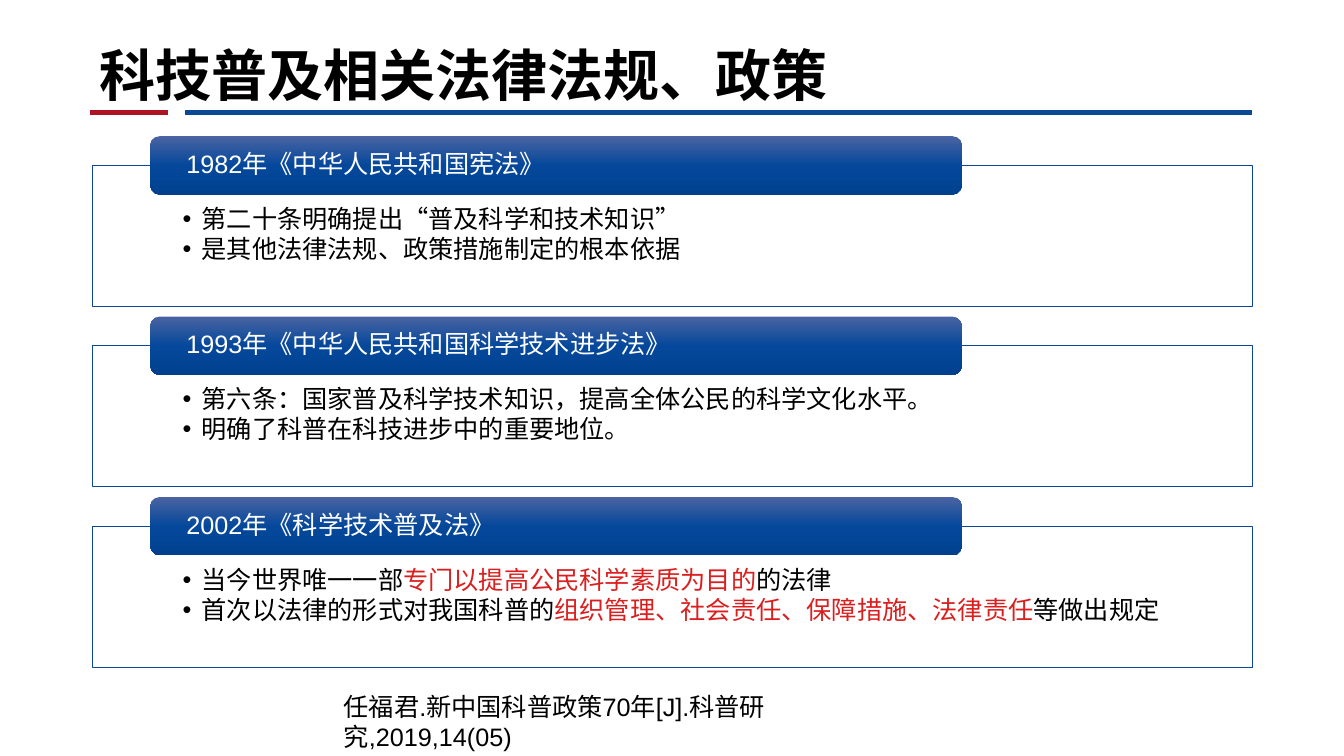
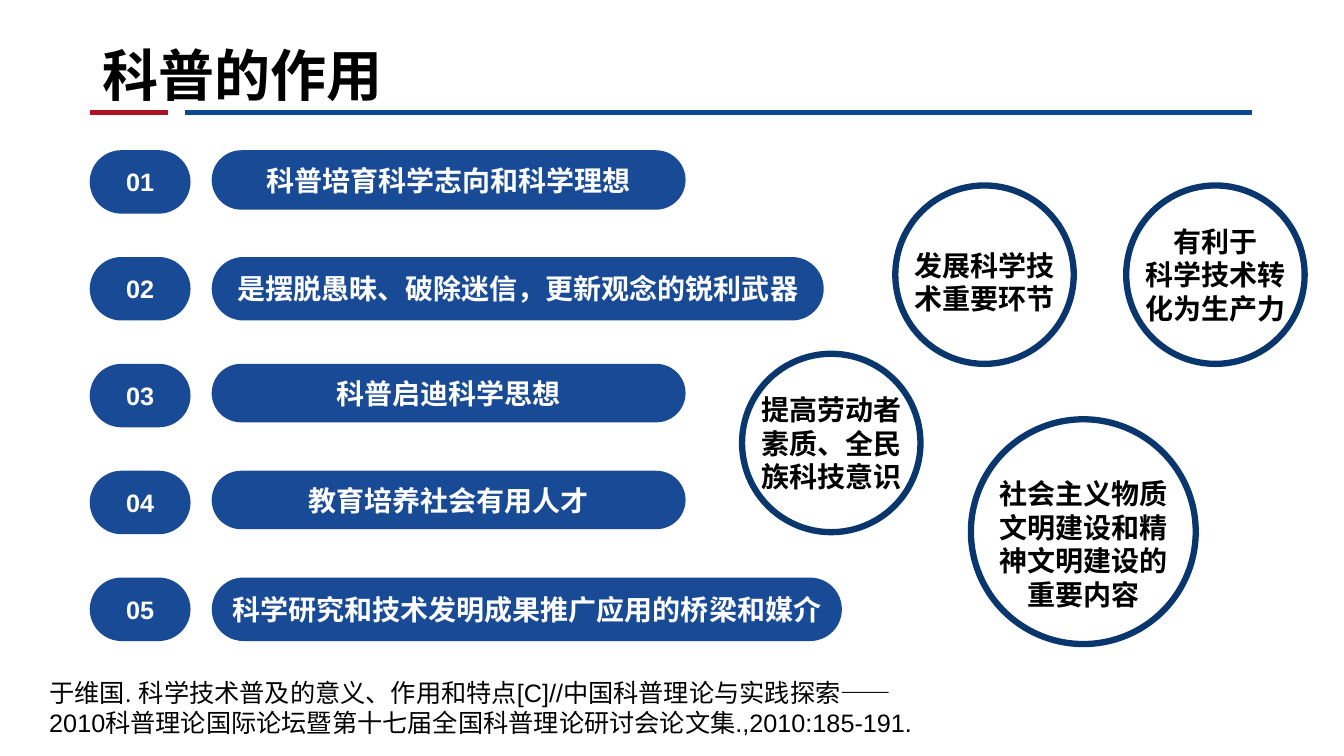
"""Build two slides on science popularisation."""
from dataclasses import dataclass

from lxml import etree
from pptx import Presentation
from pptx import util as u
from pptx.dml.color import RGBColor
from pptx.enum import shapes, text
from pptx.oxml.ns import qn


@dataclass(frozen=True)
class Theme:
    """Colours, fonts and type sizes of the deck."""
    black: str = "000000"
    white: str = "FFFFFF"
    crimson: str = "AE1324"
    blue: str = "0C4994"
    pill: str = "194A96"
    ring: str = "09366D"
    red: str = "DB1F1F"
    grad: tuple = ((0, "4B64A2"), (50, "05489B"), (100, "00408E"))
    head: str = "Roboto Condensed"
    body: str = "Arial"
    title: int = 40
    label: int = 20
    text: int = 18


T = Theme()
LEFT, RIGHT, RULE = 0.89, 12.42, 1.12

LAWS = [
    ("1982年《中华人民共和国宪法》",
     [["第二十条明确提出“普及科学和技术知识”"],
      ["是其他法律法规、政策措施制定的根本依据"]]),
    ("1993年《中华人民共和国科学技术进步法》",
     [["第六条：国家普及科学技术知识，提高全体公民的科学文化水平。"],
      ["明确了科普在科技进步中的重要地位。"]]),
    ("2002年《科学技术普及法》",
     [["当今世界唯一一部", "专门以提高公民科学素质为目的", "的法律"],
      ["首次以法律的形式对我国科普的",
       "组织管理、社会责任、保障措施、法律责任", "等做出规定"]]),
]
ROLES = [
    ("科普培育科学志向和科学理想", 4.7, 0.59),
    ("是摆脱愚昧、破除迷信，更新观念的锐利武器", 6.07, 0.63),
    ("科普启迪科学思想", 4.7, 0.58),
    ("教育培养社会有用人才", 4.7, 0.58),
    ("科学研究和技术发明成果推广应用的桥梁和媒介", 6.25, 0.63),
]
RINGS = [
    ("有利于\n科学技术转化为生产力", 11.17, 1.84, 1.77, 0),
    ("提高劳动者素质、全民族科技意识", 7.36, 3.51, 1.77, 0),
    ("社会主义物质文明建设和精神文明建设的重要内容", 9.63, 4.16, 2.23, 0.12),
    ("发展科学技术重要环节", 8.88, 1.84, 1.77, 0.07),
]
CITE_LAW = "任福君.新中国科普政策70年[J].科普研究,2019,14(05)"
CITE_ROLE = ("于维国. 科学技术普及的意义、作用和特点[C]//中国科普理论与实践探索——"
             "2010科普理论国际论坛暨第十七届全国科普理论研讨会论文集.,2010:185-191.")


def rgb(code):
    """Turn a hex code into a colour."""
    return RGBColor.from_string(code)


def box(*nums):
    """Turn numbers into inches."""
    return [u.Inches(n) for n in nums]


def move(shape, *nums):
    """Place a shape at left, top, width and height."""
    shape.left, shape.top, shape.width, shape.height = box(*nums)


def style(run, size, color=T.black, bold=False, face=T.body):
    """Set the font of one run."""
    run.font.name, run.font.size, run.font.bold = face, u.Pt(size), bold
    run.font.color.rgb = rgb(color)


def write(shape, words, size, align=text.PP_ALIGN.LEFT,
          anchor=text.MSO_ANCHOR.TOP, **look):
    """Fill a shape with words in one style."""
    frame = shape.text_frame
    frame.text = words
    frame.word_wrap, frame.vertical_anchor = True, anchor
    frame.auto_size = text.MSO_AUTO_SIZE.NONE
    for para in frame.paragraphs:
        para.alignment = align
        for run in para.runs:
            style(run, size, **look)


def label(slide, words, *nums, **look):
    """Add a wrapped text box."""
    write(slide.shapes.add_textbox(*box(*nums)), words, **look)


def block(slide, kind, *nums):
    """Add a preset shape with no shadow and no line."""
    shape = slide.shapes.add_shape(kind, *box(*nums))
    shape.shadow.inherit = False
    shape.line.fill.background()
    return shape


def rules(slide, master):
    """Draw the two title rules and hand them to the master."""
    spans = [(LEFT, 1.67, T.crimson), (1.84, RIGHT, T.blue)]
    for key, (start, end, color) in enumerate(spans, 101):
        line = slide.shapes.add_connector(
            shapes.MSO_CONNECTOR.STRAIGHT, *box(start, RULE, end, RULE))
        line.line.color.rgb, line.line.width = rgb(color), u.Pt(3.5)
        etree.SubElement(line.element.spPr, qn("a:effectLst"))
        line.element.xpath("./p:nvCxnSpPr/p:cNvPr")[0].set("id", str(key))
        master.shapes.element.append(line.element)


def start(deck, name, words, left):
    """Add a slide with its title resting on the rules."""
    slide = deck.slides.add_slide(deck.slide_layouts.get_by_name(name))
    title = slide.shapes.title
    move(title, left, 0, RIGHT - left, RULE)
    write(title, words, T.title, anchor=text.MSO_ANCHOR.BOTTOM,
          bold=True, face=T.head)
    return slide


def bullet(para, parts):
    """Write one bulleted line whose odd parts are red."""
    props = para._p.get_or_add_pPr()
    props.set("marL", str(u.Inches(0.19)))
    props.set("indent", str(u.Inches(-0.19)))
    etree.SubElement(props, qn("a:buFont"), typeface=T.body)
    etree.SubElement(props, qn("a:buChar"), char="•")
    para.line_spacing, para.space_before, para.space_after = 0.9, u.Pt(0), u.Pt(2)
    for spot, part in enumerate(parts):
        run = para.add_run()
        run.text = part
        style(run, T.text, T.red if spot % 2 else T.black)


def shade(shape):
    """Give a shape the vertical blue gradient."""
    shape.fill.gradient()
    shape.fill.gradient_angle = 270
    stops = next(shape.element.iter(qn("a:gsLst")))
    for stop in list(stops):
        stops.remove(stop)
    for place, color in T.grad:
        stop = etree.SubElement(stops, qn("a:gs"), pos=str(place * 1000))
        etree.SubElement(stop, qn("a:srgbClr"), val=color)


def card(slide, holder, head, lines, left, top):
    """Place a framed list with a heading over its top edge."""
    move(holder, left, top, 11.5, 1.4)
    holder.fill.solid()
    holder.fill.fore_color.rgb = rgb(T.white)
    holder.line.color.rgb, holder.line.width = rgb(T.blue), u.Pt(0.5)
    frame = holder.text_frame
    frame.vertical_anchor = text.MSO_ANCHOR.TOP
    frame.auto_size = text.MSO_AUTO_SIZE.NONE
    (frame.margin_left, frame.margin_top,
     frame.margin_right, frame.margin_bottom) = box(0.89, 0.41, 0.89, 0.14)
    for spot, parts in enumerate(lines):
        bullet(frame.add_paragraph() if spot else frame.paragraphs[0], parts)
    bar = block(slide, shapes.MSO_SHAPE.ROUNDED_RECTANGLE,
                left + 0.57, top - 0.29, 8.05, 0.58)
    shade(bar)
    write(bar, head, T.text, anchor=text.MSO_ANCHOR.MIDDLE, color=T.white)
    bar.text_frame.margin_left = u.Inches(0.33)
    bar.text_frame.paragraphs[0].line_spacing = 0.9


def pill(slide, words, size, *nums):
    """Place a filled pill with centred words."""
    shape = block(slide, shapes.MSO_SHAPE.ROUNDED_RECTANGLE, *nums)
    shape.adjustments[0] = 0.5
    shape.fill.solid()
    shape.fill.fore_color.rgb = rgb(T.pill)
    write(shape, words, size, text.PP_ALIGN.CENTER, text.MSO_ANCHOR.MIDDLE,
          color=T.white, bold=True)


def ring(slide, words, left, top, size, drop):
    """Place an outlined circle with words, lowered by drop."""
    shape = block(slide, shapes.MSO_SHAPE.OVAL, left, top, size, size)
    shape.fill.background()
    shape.line.color.rgb, shape.line.width = rgb(T.ring), u.Pt(4.5)
    label(slide, words, left + size * 0.03, top + drop, size * 0.94, size,
          size=T.label, align=text.PP_ALIGN.CENTER,
          anchor=text.MSO_ANCHOR.MIDDLE, bold=True)


def laws(deck):
    """Build the slide of laws and policies."""
    slide = start(deck, "Comparison", "科技普及相关法律法规、政策", LEFT)
    *holders, spare = list(slide.placeholders)[1:]
    spare.element.getparent().remove(spare.element)
    for row, (holder, (head, lines)) in enumerate(zip(holders, LAWS)):
        card(slide, holder, head, lines, 0.92, 1.64 + row * 1.79)
    label(slide, CITE_LAW, 3.31, 6.81, 6.02, 0.4, size=T.text)
    return slide


def roles(deck):
    """Build the slide of roles and benefits."""
    slide = start(deck, "Title Only", "科普的作用", 0.92)
    for row, (words, width, height) in enumerate(ROLES):
        top = 1.49 + row * 1.06
        pill(slide, f"{row + 1:02}", T.text, LEFT, top, 1, 0.63)
        pill(slide, words, T.label, 2.1, top, width, height)
    for item in RINGS:
        ring(slide, *item)
    label(slide, CITE_ROLE, 0.39, 6.67, 8.93, 0.71, size=T.text)


def main():
    """Build and save the deck."""
    deck = Presentation()
    deck.slide_width, deck.slide_height = box(13.33, 7.5)
    rules(laws(deck), deck.slide_master)
    roles(deck)
    deck.save("out.pptx")


if __name__ == "__main__":
    main()
